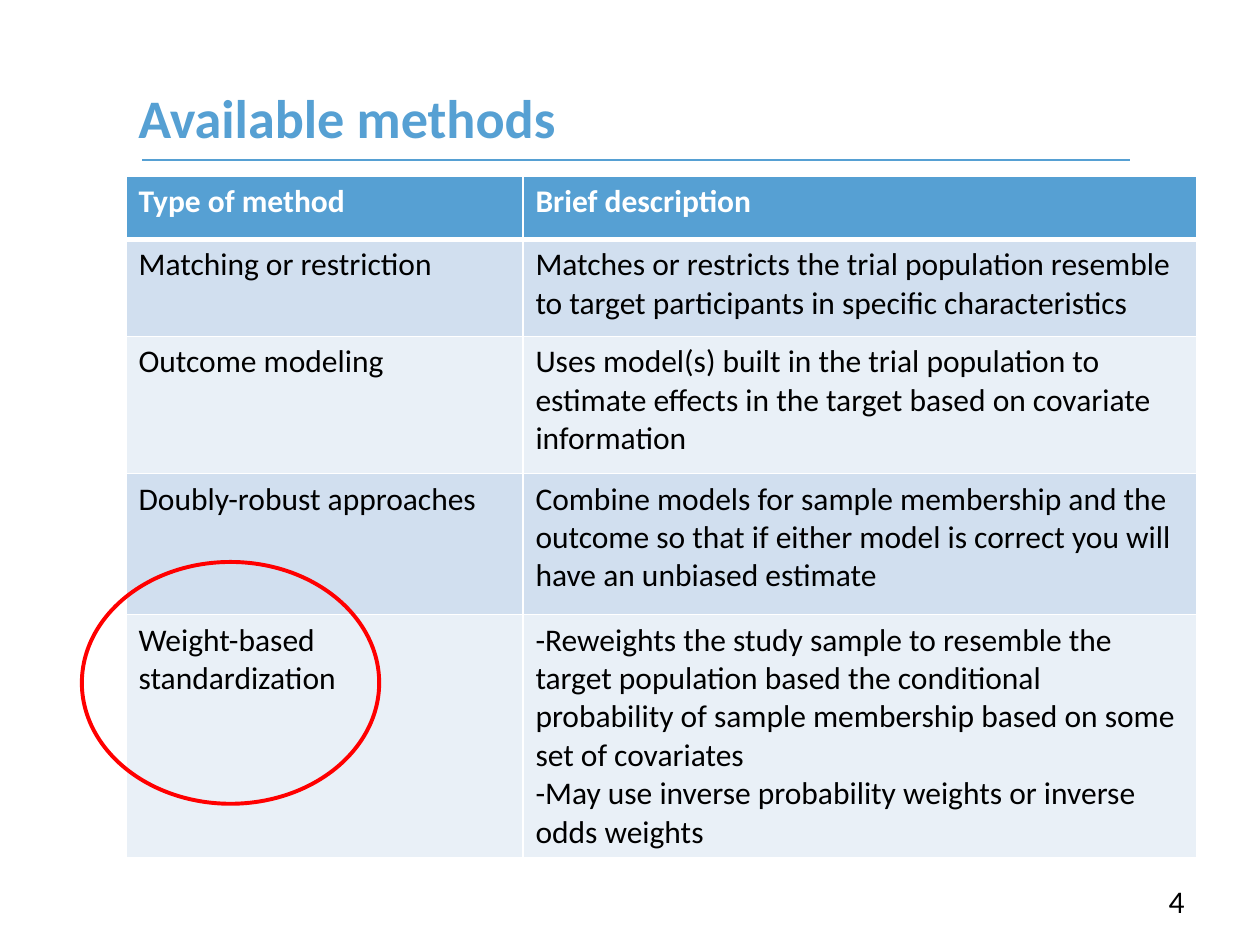
import pptx
import pptx.util
import pptx.dml.color
import pptx.enum.shapes
import pptx.enum.text
import pptx.oxml.ns
import lxml.etree

Pt = pptx.util.Pt
BLUE = "56A0D3"
BANDS = ["D1DFEF", "E9F0F7"]
COLS = [226.8, 385.2]
ROWS = [
    (36, "Type of method", "Brief description"),
    (55.4, "Matching or restriction",
     "Matches or restricts the trial population resemble to target "
     "participants in specific characteristics"),
    (78.5, "Outcome modeling",
     "Uses model(s) built in the trial population to estimate effects in "
     "the target based on covariate information"),
    (80.6, "Doubly-robust approaches",
     "Combine models for sample membership and the outcome so that if "
     "either model is correct you will have an unbiased estimate"),
    (139, "Weight-based standardization",
     "-Reweights the study sample to resemble the target population based "
     "the conditional probability of sample membership based on some set "
     "of covariates\n"
     "-May use inverse probability weights or inverse odds weights"),
]


def rgb(code):
    return pptx.dml.color.RGBColor.from_string(code)


def write(frame, text, size=18, color="000000", bold=False, align=None):
    """Fill a text frame, one paragraph per line of text."""
    frame.word_wrap = True
    for i, line in enumerate(text.split("\n")):
        para = frame.paragraphs[0] if i == 0 else frame.add_paragraph()
        para.alignment = align
        run = para.add_run()
        run.text = line
        font = run.font
        font.name, font.size, font.bold = "Calibri", Pt(size), bold
        font.color.rgb = rgb(color)


def add_text(slide, box, text, anchor=pptx.enum.text.MSO_ANCHOR.TOP, **form):
    frame = slide.shapes.add_textbox(*map(Pt, box)).text_frame
    frame.vertical_anchor = anchor
    write(frame, text, **form)


def add_rule(slide, left, right, top):
    kind = pptx.enum.shapes.MSO_CONNECTOR.STRAIGHT
    rule = slide.shapes.add_connector(kind, Pt(left), Pt(top), Pt(right), Pt(top))
    rule.line.color.rgb = rgb(BLUE)
    rule.line.width = Pt(0.75)
    props = rule._element.spPr
    lxml.etree.SubElement(props, pptx.oxml.ns.qn("a:effectLst"))


def add_edge(cell, side, width):
    """Draw one white border of a cell."""
    qn = pptx.oxml.ns.qn
    props = cell._tc.get_or_add_tcPr()
    edge = lxml.etree.SubElement(props, qn("a:ln" + side), w=str(Pt(width)))
    fill = lxml.etree.SubElement(edge, qn("a:solidFill"))
    lxml.etree.SubElement(fill, qn("a:srgbClr"), val="FFFFFF")


def add_grid(slide, left, top):
    high = sum(row[0] for row in ROWS)
    grid = slide.shapes.add_table(len(ROWS), len(COLS), Pt(left), Pt(top),
                                  Pt(sum(COLS)), Pt(high)).table
    for col, width in zip(grid.columns, COLS):
        col.width = Pt(width)
    for r, (height, *texts) in enumerate(ROWS):
        grid.rows[r].height = Pt(height)
        head = r == 0
        for c, text in enumerate(texts):
            cell = grid.cell(r, c)
            # Borders come before the fill; the header rule is thicker
            for side in "LRTB":
                thick = (head and side == "B") or (r == 1 and side == "T")
                add_edge(cell, side, 3 if thick else 1)
            cell.fill.solid()
            cell.fill.fore_color.rgb = rgb(BLUE if head else BANDS[(r - 1) % 2])
            write(cell.text_frame, text, bold=head,
                  color="FFFFFF" if head else "000000")


def add_ring(slide, box):
    kind = pptx.enum.shapes.MSO_SHAPE.OVAL
    ring = slide.shapes.add_shape(kind, *map(Pt, box))
    ring.shadow.inherit = False
    ring.fill.background()
    ring.line.color.rgb = rgb("FF0000")
    ring.line.width = Pt(2.25)


def main():
    deck = pptx.Presentation()
    deck.slide_width, deck.slide_height = Pt(720), Pt(540)
    slide = deck.slides.add_slide(deck.slide_layouts[6])

    # Title and rule
    add_rule(slide, 81.4, 645.8, 91.4)
    add_text(slide, (72, 21.6, 612, 90), "Available methods", size=31,
             color=BLUE, bold=True, anchor=pptx.enum.text.MSO_ANCHOR.MIDDLE)

    # Page number
    add_text(slide, (516.2, 500.4, 167.8, 28.8), "4",
             align=pptx.enum.text.PP_ALIGN.RIGHT)

    # Table of methods, with the last one circled
    add_grid(slide, 72, 100.8)
    add_ring(slide, (46.8, 321.1, 169.9, 138.2))

    deck.save("out.pptx")


if __name__ == "__main__":
    main()
